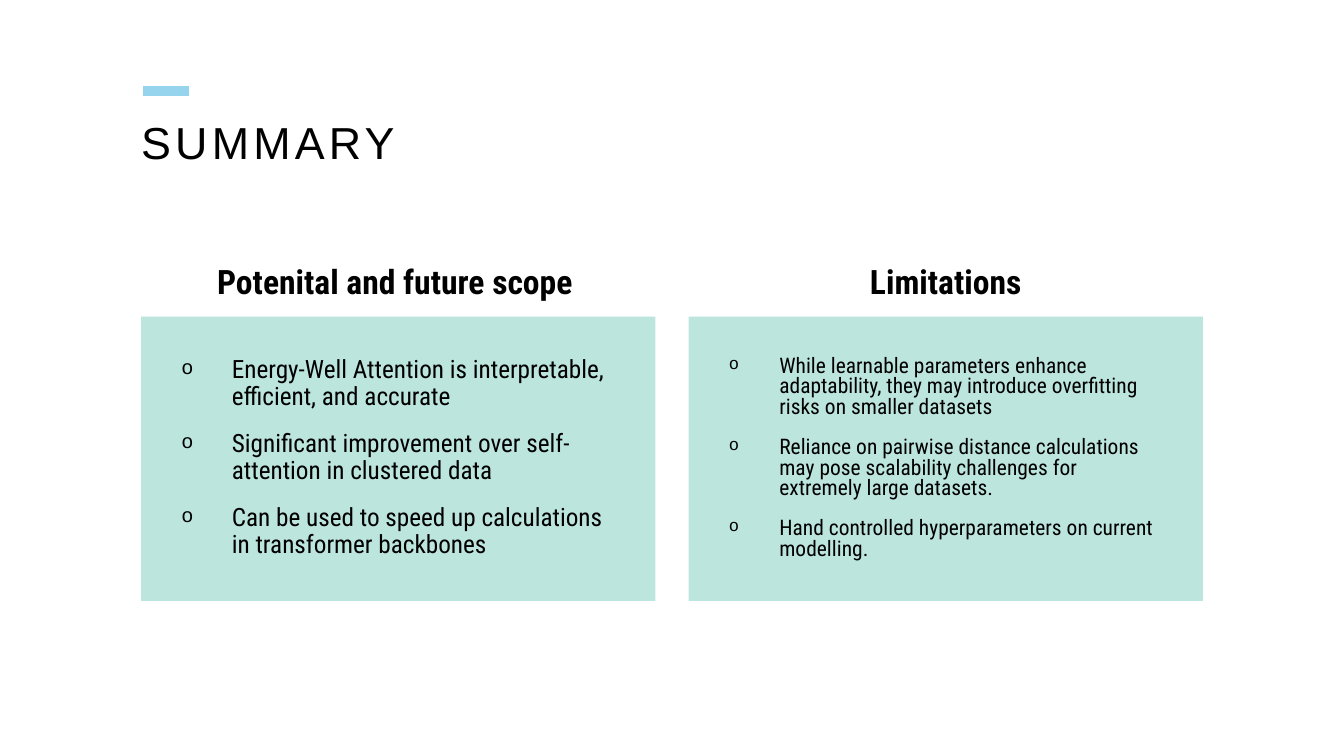
from lxml import etree
from pptx import Presentation
from pptx.dml.color import RGBColor
from pptx.enum import shapes, text
from pptx.oxml.ns import qn
from pptx.util import Inches, Pt

BLACK, MINT, SKY = "000000", "BCE5DD", "96D3ED"
BODY_FONT = "Roboto Condensed"


def rgb(value):
    return RGBColor.from_string(value)


def add_run(p, words, color=BLACK, **fmt):
    r = p.add_run()
    r.text = words
    r.font.color.rgb = rgb(color)
    for name, value in fmt.items():
        setattr(r.font, name, value)
    return r


prs = Presentation()
prs.slide_width, prs.slide_height = Inches(13.33), Inches(7.5)
s = prs.slides.add_slide(prs.slide_layouts[5])

# Accent bar above the title
bar = s.shapes.add_connector(shapes.MSO_CONNECTOR.STRAIGHT,
                             Inches(1.42), Inches(0.9), Inches(1.87), Inches(0.9))
bar.line.color.rgb = rgb(SKY)
bar.line.width = Pt(7)
etree.SubElement(bar._element.spPr, qn("a:effectLst"))

# Title
title = s.shapes.title
title.left, title.top, title.width, title.height = map(Inches, (1.4, 1.2, 10.74, 1))
tf = title.text_frame
tf.margin_left = tf.margin_top = tf.margin_right = tf.margin_bottom = 0
tf.vertical_anchor = text.MSO_ANCHOR.TOP
tf.auto_size = text.MSO_AUTO_SIZE.NONE
p = tf.paragraphs[0]
p.alignment = text.PP_ALIGN.LEFT
p.line_spacing = 0.9
r = add_run(p, "SUMMARY", name="Arial", size=Pt(32))
r.font._element.set("spc", "300")

# Two columns: panel left, heading, heading left and width, size, line spacing, bullets
columns = [
    (1.4, "Potenital and future scope ", 1.77, 4.37, 18, 0.9, [
        "Energy-Well Attention is interpretable, efficient, and accurate",
        "Significant improvement over self-attention in clustered data",
        "Can be used to speed up calculations in transformer backbones",
    ]),
    (6.83, "Limitations", 7.73, 3.3, 15.3, 0.8, [
        "While learnable parameters enhance adaptability, they may introduce "
        "overfitting risks on smaller datasets",
        "Reliance on pairwise distance calculations may pose scalability "
        "challenges for extremely large datasets.",
        "Hand controlled hyperparameters on current modelling.",
    ]),
]
for left, heading, head_left, head_width, size, spacing, bullets in columns:
    # Panel with bullets
    sp = s.shapes.add_shape(shapes.MSO_SHAPE.RECTANGLE, Inches(left), Inches(3.14),
                            Inches(5.1), Inches(2.82))
    sp.shadow.inherit = False
    sp.fill.solid()
    sp.fill.fore_color.rgb = rgb(MINT)
    sp.line.fill.background()
    tf = sp.text_frame
    tf.word_wrap = True
    tf.vertical_anchor = text.MSO_ANCHOR.TOP
    tf.margin_left = tf.margin_top = tf.margin_right = tf.margin_bottom = Inches(0.4)
    for i, words in enumerate(bullets):
        p = tf.add_paragraph() if i else tf.paragraphs[0]
        p.alignment = text.PP_ALIGN.LEFT
        p.line_spacing = spacing
        p.space_before = Pt(14)
        pPr = p._p.get_or_add_pPr()
        pPr.set("marL", str(Inches(0.5)))
        pPr.set("indent", str(Inches(-0.5)))
        color = etree.SubElement(pPr, qn("a:buClr"))
        etree.SubElement(color, qn("a:srgbClr"), val=BLACK)
        etree.SubElement(pPr, qn("a:buSzPct"), val="80000")
        etree.SubElement(pPr, qn("a:buFont"), typeface="Courier New")
        etree.SubElement(pPr, qn("a:buChar"), char="o")
        add_run(p, words, name=BODY_FONT, size=Pt(size))

    # Heading above the panel
    tb = s.shapes.add_textbox(Inches(head_left), Inches(2.54),
                              Inches(head_width), Inches(0.5))
    tf = tb.text_frame
    tf.word_wrap = True
    tf.auto_size = text.MSO_AUTO_SIZE.SHAPE_TO_FIT_TEXT
    p = tf.paragraphs[0]
    p.alignment = text.PP_ALIGN.CENTER
    add_run(p, heading, name=BODY_FONT, size=Pt(24), bold=True)

prs.save("out.pptx")
